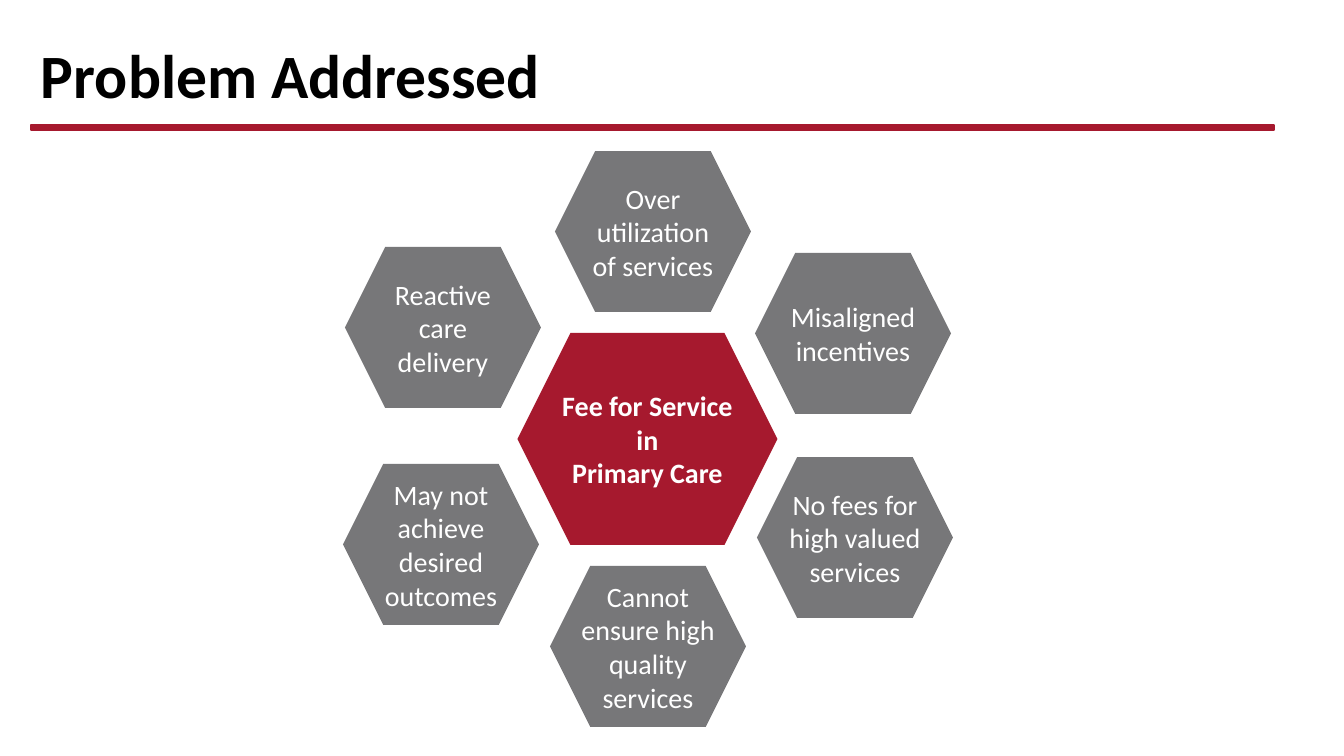
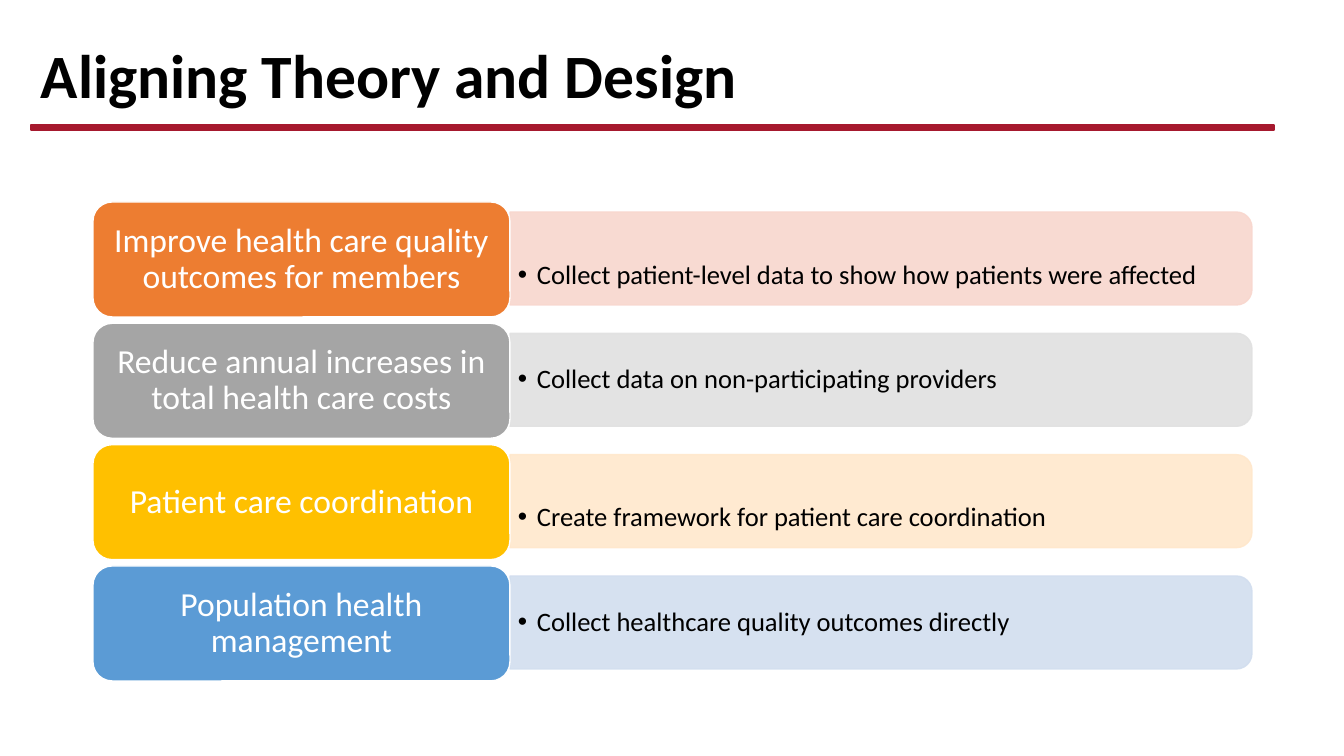
from lxml import etree
from pptx import Presentation
from pptx import util as u
from pptx.dml import color
from pptx.enum import shapes, text
from pptx.oxml import ns

PX = 914400 / 100.8
FONT = "Calibri"
RED, GREY, WHITE, BLACK = "A6192E", "777779", "FFFFFF", "000000"

PROBLEM_BOX = (343, 151, 609, 576)
PROBLEMS = [
    ("Misaligned incentives", 412, 102),
    ("No fees for high valued services", 414, 306),
    ("May not achieve desired outcomes", 0, 313),
    ("Reactive care delivery", 2, 96),
    ("Cannot ensure high quality services", 207, 415),
    ("Over utilization of services", 212, 0),
]

GOAL_BOX = (93, 202, 1159, 479)
GOALS = [
    ("Improve health care quality outcomes for members", "ED7D31",
     "Collect patient-level data to show how patients were affected", "F8D7CE", 17),
    ("Reduce annual increases in total health care costs", "A5A5A5",
     "Collect data on non-participating providers", "E1E1E1", 0),
    ("Patient care coordination", "FFC000",
     "Create framework for patient care coordination", "FFE8CC", 17),
    ("Population health management", "5B9BD5",
     "Collect healthcare quality outcomes directly", "D2DEEF", 0),
]


def px(n):
    return u.Emu(round(n * PX))


def rgb(value):
    return color.RGBColor.from_string(value)


def set_alpha(fill_parent, percent):
    for clr in fill_parent.iter(ns.qn("a:srgbClr")):
        etree.SubElement(clr, ns.qn("a:alpha"), val=str(percent * 1000))


def add_box(s, kind, x, y, w, h, fill, line=None):
    sp = s.shapes.add_shape(kind, px(x), px(y), px(w), px(h))
    sp.shadow.inherit = False
    sp.fill.solid()
    sp.fill.fore_color.rgb = rgb(fill)
    if line:
        sp.line.color.rgb = rgb(line)
        sp.line.width = u.Pt(1)
    else:
        sp.line.fill.background()
    return sp


def write(tf, words, size=20, fill=WHITE, bold=False, align=text.PP_ALIGN.CENTER,
          spacing=None, insets=(10, 5), bullet=False):
    tf.word_wrap = True
    tf.auto_size = text.MSO_AUTO_SIZE.NONE
    tf.vertical_anchor = text.MSO_ANCHOR.MIDDLE
    tf.margin_left = tf.margin_right = px(insets[0])
    tf.margin_top = tf.margin_bottom = px(insets[1])
    for i, line in enumerate(words.split("\n")):
        p = tf.add_paragraph() if i else tf.paragraphs[0]
        p.alignment = align
        if spacing:
            p.line_spacing = spacing
        if bullet:
            pPr = p._p.get_or_add_pPr()
            pPr.set("marL", str(px(19)))
            pPr.set("indent", str(-px(19)))
            etree.SubElement(pPr, ns.qn("a:buFont"), typeface="Arial")
            etree.SubElement(pPr, ns.qn("a:buChar"), char="•")
        r = p.add_run()
        r.text = line
        r.font.name = FONT
        r.font.size = u.Pt(size)
        r.font.bold = bold
        r.font.color.rgb = rgb(fill)


def add_titled_slide(prs, title):
    s = prs.slides.add_slide(prs.slide_layouts[5])
    sp = s.shapes.title
    sp.left, sp.top, sp.width, sp.height = px(31), px(33), px(1159), px(92)
    write(sp.text_frame, title, size=44, fill=BLACK, bold=True,
          align=text.PP_ALIGN.LEFT, spacing=0.9)
    add_box(s, shapes.MSO_SHAPE.RECTANGLE, 31, 125, 1243, 5, RED, RED)
    return s


def add_hexagon(s, words, x, y, w, h, fill, bold=False):
    sp = add_box(s, shapes.MSO_SHAPE.HEXAGON, x, y, w, h, fill)
    write(sp.text_frame, words, bold=bold, insets=(0, 0))


def add_problem_ring(s, box):
    x, y, w, h = box
    core_w, core_h = 260, 212
    add_hexagon(s, "Fee for Service in\nPrimary Care", x + (w - core_w) / 2,
                y + (h - core_h) / 2, core_w, core_h, RED, bold=True)
    for words, dx, dy in PROBLEMS:
        add_hexagon(s, words, x + dx, y + dy, 196, 161, GREY)


def add_goal_row(s, box, goal, fill, action, tint, drop):
    x, y, w, h = box
    card_w, gap = 417, 10
    bar_x, bar_y, bar_w, bar_h = x + card_w, y + gap, w - card_w, h - 2 * gap - 2
    bar = add_box(s, shapes.MSO_SHAPE.ROUND_2_SAME_RECTANGLE,
                  bar_x + (bar_w - bar_h) / 2, bar_y + (bar_h - bar_w) / 2,
                  bar_h, bar_w, tint, tint)
    bar.rotation = 90
    set_alpha(bar._element.spPr, 90)
    label = s.shapes.add_textbox(px(bar_x), px(bar_y + drop), px(bar_w - 4), px(bar_h))
    write(label.text_frame, action, size=19, fill=BLACK, align=text.PP_ALIGN.LEFT,
          spacing=0.9, insets=(8, 4), bullet=True)
    card = add_box(s, shapes.MSO_SHAPE.ROUNDED_RECTANGLE, x, y, card_w, h, fill, WHITE)
    write(card.text_frame, goal, size=24, spacing=0.9)


def add_goal_list(s, box):
    x, y, w, h = box
    row_h = 115
    pitch = (h - row_h) / (len(GOALS) - 1)
    for i, goal in enumerate(GOALS):
        add_goal_row(s, (x, y + i * pitch, w, row_h), *goal)


def main():
    prs = Presentation()
    prs.slide_width, prs.slide_height = px(1344), px(756)
    add_problem_ring(add_titled_slide(prs, "Problem Addressed"), PROBLEM_BOX)
    add_goal_list(add_titled_slide(prs, "Aligning Theory and Design"), GOAL_BOX)
    prs.save("out.pptx")


if __name__ == "__main__":
    main()
